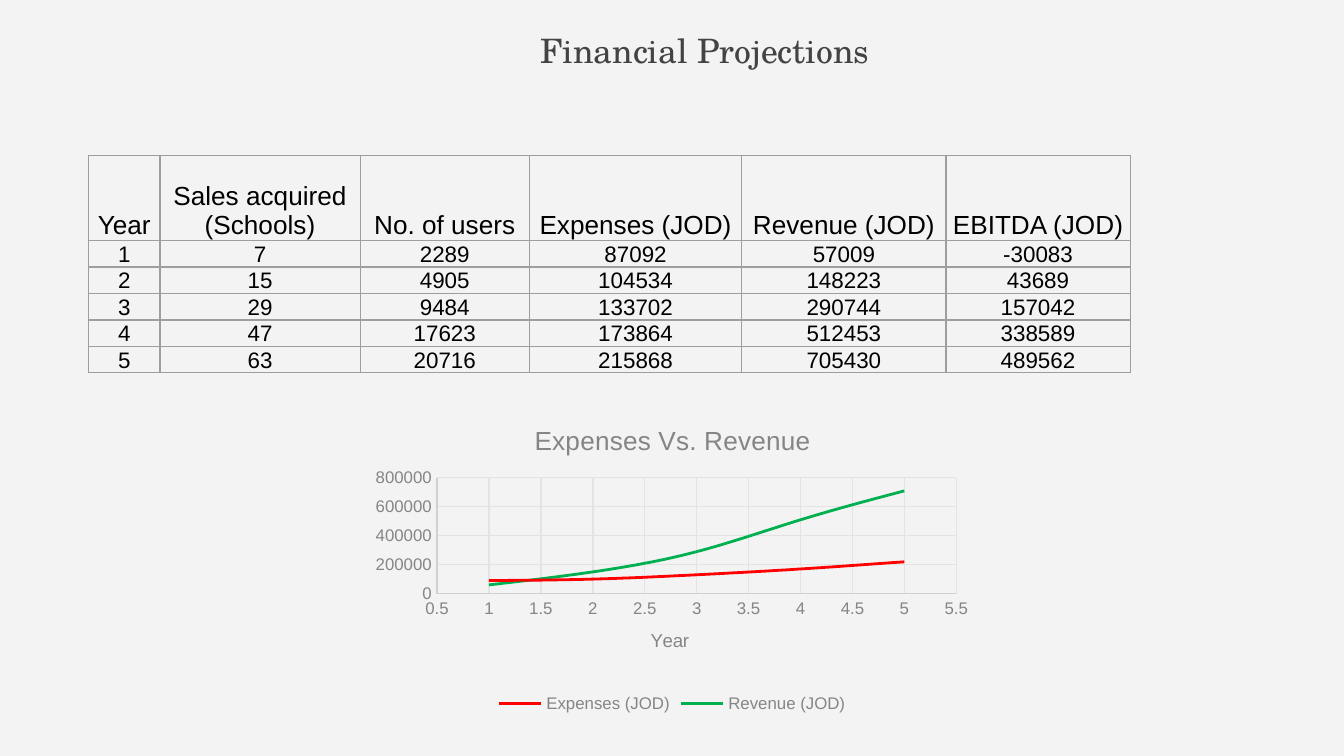
"""Build the Financial Projections slide with its table and line chart."""
import pptx
import pptx.chart.data
import pptx.dml.color
import pptx.enum.chart
import pptx.enum.text
import pptx.oxml
import pptx.oxml.ns
import pptx.util

TITLE = "Financial Projections"
HEADERS = ["Year", "Sales acquired (Schools)", "No. of users",
           "Expenses (JOD)", "Revenue (JOD)", "EBITDA (JOD)"]
ROWS = [
    (1, 7, 2289, 87092, 57009, -30083),
    (2, 15, 4905, 104534, 148223, 43689),
    (3, 29, 9484, 133702, 290744, 157042),
    (4, 47, 17623, 173864, 512453, 338589),
    (5, 63, 20716, 215868, 705430, 489562),
]
CHART_TITLE = "Expenses Vs. Revenue"
SERIES_COLORS = {"Expenses (JOD)": "expenses", "Revenue (JOD)": "revenue"}

COLORS = {"background": "F3F3F3", "title": "434343", "cell": "000000",
          "border": "9E9E9E", "label": "858585", "axis": "D0D0D0",
          "grid": "E3E3E3", "expenses": "FF0000", "revenue": "00B050"}
SLIDE_WIDTH = 10
SLIDE_HEIGHT = SLIDE_WIDTH * 9 / 16
COLUMN_WIDTHS = [0.53, 1.49, 1.26, 1.58, 1.52, 1.37]
ROW_HEIGHTS = [0.63] + [0.19] * len(ROWS)
TITLE_BOX = (3.92, 0.12, 3.75, 1.03)
TABLE_BOX = (0.66, 1.16, sum(COLUMN_WIDTHS), sum(ROW_HEIGHTS))
CHART_BOX = (2.7, 3.02, 4.6, 2.33)
CHART_NAMESPACE = pptx.oxml.ns.nsdecls("c")


def inches(values):
    return [pptx.util.Inches(value) for value in values]


def rgb(name):
    return pptx.dml.color.RGBColor.from_string(COLORS[name])


def style_font(font, size, color, name="Arial"):
    font.size, font.name, font.bold = pptx.util.Pt(size), name, False
    font.color.rgb = rgb(color)


def write_text(frame, text, *, size, color, font="Arial", align="LEFT"):
    frame.text = text
    paragraph = frame.paragraphs[0]
    paragraph.alignment = pptx.enum.text.PP_ALIGN[align]
    style_font(paragraph.runs[0].font, size, color, font)


def set_insets(holder, anchor, insets):
    holder.vertical_anchor = pptx.enum.text.MSO_ANCHOR[anchor]
    (holder.margin_left, holder.margin_top,
     holder.margin_right, holder.margin_bottom) = inches(insets)


def style_line(line, color, width):
    line.color.rgb = rgb(color)
    line.width = pptx.util.Pt(width)


def add_borders(cell):
    properties = cell._tc.get_or_add_tcPr()
    for side in "LRTB":
        properties.append(pptx.oxml.parse_xml(
            f'<a:ln{side} {pptx.oxml.ns.nsdecls("a")} w="{pptx.util.Pt(0.75)}"><a:solidFill>'
            f'<a:srgbClr val="{COLORS["border"]}"/></a:solidFill></a:ln{side}>'))


def add_title(slide):
    title = slide.shapes.title
    title.left, title.top, title.width, title.height = inches(TITLE_BOX)
    frame = title.text_frame
    frame.auto_size = pptx.enum.text.MSO_AUTO_SIZE.NONE
    frame.word_wrap = True
    write_text(frame, TITLE, size=18, color="title", font="TeX Gyre Schola")
    set_insets(frame, "TOP", [0.1] * 4)


def add_projection_table(slide):
    rows = [HEADERS] + ROWS
    table = slide.shapes.add_table(len(rows), len(HEADERS), *inches(TABLE_BOX)).table
    table.first_row = table.horz_banding = False
    for column, width in zip(table.columns, COLUMN_WIDTHS):
        column.width = pptx.util.Inches(width)
    for row, height, values in zip(table.rows, ROW_HEIGHTS, rows):
        row.height = pptx.util.Inches(height)
        for cell, value in zip(row.cells, values):
            write_text(cell.text_frame, str(value), size=14 if values is HEADERS else 12,
                       color="cell", align="CENTER")
            set_insets(cell, "BOTTOM", [0.01, 0.01, 0.01, 0])
            add_borders(cell)
            cell.fill.background()


def place(element, left, top, width=None, height=None):
    for old in element.findall(pptx.oxml.ns.qn("c:layout")):
        element.remove(old)
    target = '<c:layoutTarget val="inner"/>' if width else ""
    modes = '<c:xMode val="edge"/><c:yMode val="edge"/>'
    shares = {"x": left, "y": top, "w": width, "h": height}
    values = "".join(f'<c:{key} val="{share}"/>' for key, share in shares.items() if share)
    layout = pptx.oxml.parse_xml(
        f"<c:layout {CHART_NAMESPACE}><c:manualLayout>{target}{modes}{values}"
        "</c:manualLayout></c:layout>")
    text = element.find(pptx.oxml.ns.qn("c:tx"))
    element.insert(0 if text is None else element.index(text) + 1, layout)


def style_axis(axis, minimum, maximum, step):
    axis.minimum_scale, axis.maximum_scale, axis.major_unit = minimum, maximum, step
    axis.major_tick_mark = axis.minor_tick_mark = pptx.enum.chart.XL_TICK_MARK.NONE
    axis.has_major_gridlines = True
    style_line(axis.major_gridlines.format.line, "grid", 0.75)
    style_line(axis.format.line, "axis", 0.75)
    style_font(axis.tick_labels.font, 9, "label")
    axis.tick_labels.number_format = "General"
    axis.tick_labels.number_format_is_linked = False


def add_projection_chart(slide):
    data = pptx.chart.data.XyChartData()
    for name in SERIES_COLORS:
        series = data.add_series(name)
        for row in ROWS:
            series.add_data_point(row[0], round(row[HEADERS.index(name)], -4))
    chart = slide.shapes.add_chart(
        pptx.enum.chart.XL_CHART_TYPE.XY_SCATTER_SMOOTH_NO_MARKERS,
        *inches(CHART_BOX), data).chart
    style_font(chart.font, 10, "title")
    plot = chart.plots[0]
    plot.vary_by_categories = False
    for series, color in zip(plot.series, SERIES_COLORS.values()):
        style_line(series.format.line, color, 1.5)
        series.marker.style = pptx.enum.chart.XL_MARKER_STYLE.NONE
        for smooth in series._element.findall(pptx.oxml.ns.qn("c:smooth")):
            smooth.set("val", "1")

    style_axis(chart.category_axis, 0.5, 5.5, 0.5)
    style_axis(chart.value_axis, 0, 800000, 200000)
    titles = [(chart.chart_title, CHART_TITLE, 14, 0.27, 0.04),
              (chart.category_axis.axis_title, HEADERS[0], 10, 0.46, 0.7)]
    for title, text, size, left, top in titles:
        write_text(title.text_frame, text, size=size, color="label", align="CENTER")
        place(title._element, left, top)
    place(chart._chartSpace.chart.plotArea, 0.12, 0.23, 0.84, 0.37)

    chart.has_legend = True
    chart.legend.position = pptx.enum.chart.XL_LEGEND_POSITION.BOTTOM
    chart.legend.include_in_layout = False
    style_font(chart.legend.font, 9, "label")


def main():
    presentation = pptx.Presentation()
    presentation.slide_width, presentation.slide_height = inches([SLIDE_WIDTH, SLIDE_HEIGHT])
    slide = presentation.slides.add_slide(presentation.slide_layouts.get_by_name("Title Only"))
    slide.background.fill.solid()
    slide.background.fill.fore_color.rgb = rgb("background")
    add_title(slide)
    add_projection_table(slide)
    add_projection_chart(slide)
    presentation.save("out.pptx")


if __name__ == "__main__":
    main()
